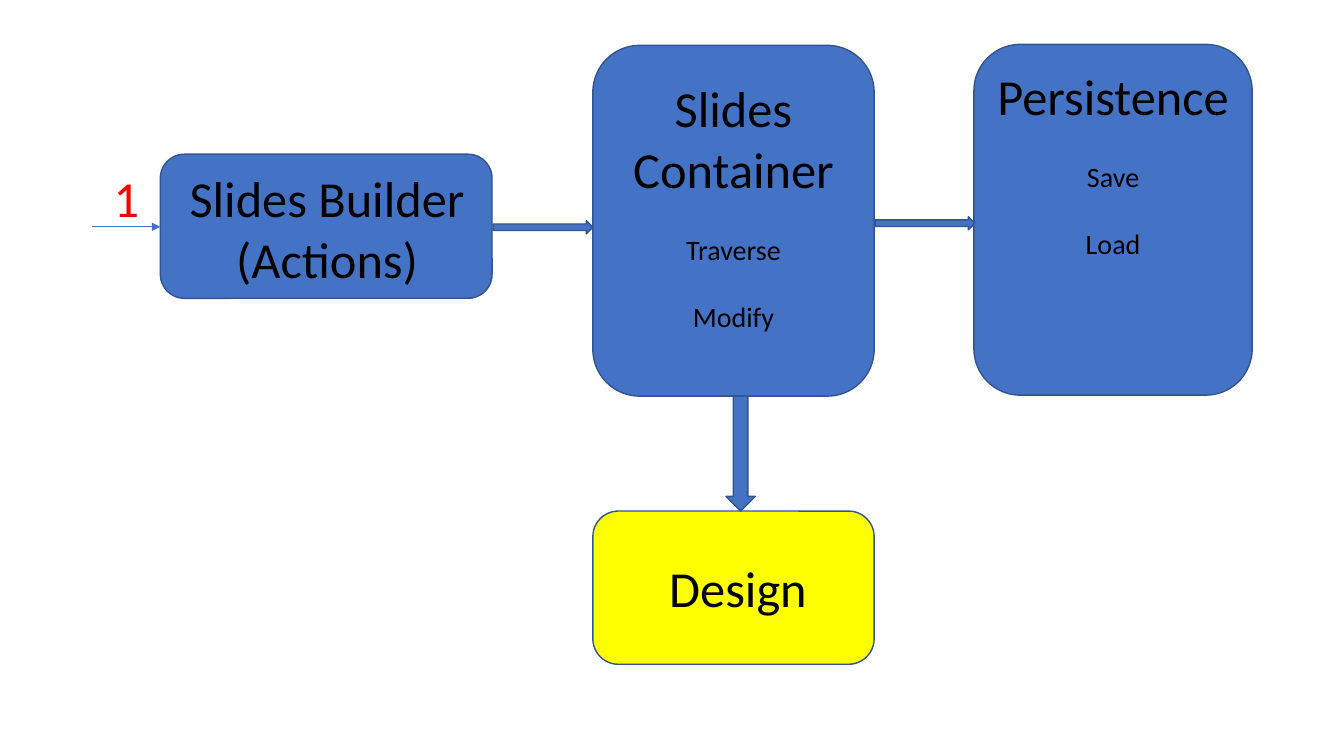
import pptx
import pptx.util
import pptx.dml.color
import pptx.enum.shapes
import pptx.enum.text
import pptx.oxml.ns
import lxml.etree
from dataclasses import dataclass

Inches = pptx.util.Inches
Pt = pptx.util.Pt
SHAPE = pptx.enum.shapes.MSO_SHAPE
ALIGN = pptx.enum.text.PP_ALIGN


@dataclass(frozen=True)
class Theme:
    """Colours, font and type sizes of the diagram."""
    blue: str = "4472C4"
    outline: str = "325491"
    yellow: str = "FFFF00"
    black: str = "000000"
    red: str = "FF0000"
    font: str = "Calibri"
    title: int = 36
    item: int = 20
    item_gap: int = 24


def rgb(value):
    """Turn a hex string into a colour."""
    return pptx.dml.color.RGBColor.from_string(value)


def apply(target, formats):
    """Set each attribute named in a dict."""
    for name, value in formats.items():
        setattr(target, name, value)


class Diagram:
    """Draws diagram elements on one slide in one theme."""

    def __init__(self, slide, theme):
        """Keep the slide and the theme."""
        self.shapes = slide.shapes
        self.theme = theme

    def shape(self, kind, box, fill=None):
        """Add a filled and outlined preset shape."""
        sp = self.shapes.add_shape(kind, *map(Inches, box))
        sp.shadow.inherit = False
        sp.fill.solid()
        sp.fill.fore_color.rgb = rgb(fill or self.theme.blue)
        sp.line.color.rgb = rgb(self.theme.outline)
        sp.line.width = Pt(1)

    def text(self, box, titles, items=(), color=None, align=ALIGN.CENTER):
        """Add title lines followed by spaced smaller items."""
        t = self.theme
        tf = self.shapes.add_textbox(*map(Inches, box)).text_frame
        tf.word_wrap = True
        lines = [(s, t.title, 0) for s in titles]
        lines += [(s, t.item, t.item_gap) for s in items]
        for i, (words, size, gap) in enumerate(lines):
            p = tf.add_paragraph() if i else tf.paragraphs[0]
            apply(p, {"alignment": align, "space_before": Pt(gap)})
            r = p.add_run()
            r.text = words
            apply(r.font, {"name": t.font, "size": Pt(size)})
            r.font.color.rgb = rgb(color or t.black)

    def arrow_line(self, start, end):
        """Add a thin straight line with an arrowhead at its end."""
        line = self.shapes.add_connector(
            pptx.enum.shapes.MSO_CONNECTOR.STRAIGHT, *map(Inches, start + end))
        line.line.color.rgb = rgb(self.theme.blue)
        line.line.width = Pt(0.5)
        qn = pptx.oxml.ns.qn
        ln = line.line._get_or_add_ln()
        lxml.etree.SubElement(ln, qn("a:tailEnd"), type="triangle")
        lxml.etree.SubElement(line._element.spPr, qn("a:effectLst"))


def main():
    """Build and save the slide."""
    prs = pptx.Presentation()
    apply(prs, {"slide_width": Inches(13.33), "slide_height": Inches(7.5)})
    theme = Theme()
    d = Diagram(prs.slides.add_slide(prs.slide_layouts[6]), theme)

    blocks = [
        ((1.59, 1.53, 3.29, 1.43), theme.blue,
         (1.73, 1.61, 3.03, 1.31), ["Slides Builder", "(Actions)"], []),
        ((5.88, 0.45, 2.79, 3.48), theme.blue,
         (6.15, 0.72, 2.25, 2.66), ["Slides Container"], ["Traverse", "Modify"]),
        ((9.66, 0.44, 2.76, 3.48), theme.blue,
         (9.74, 0.6, 2.6, 2.05), ["Persistence"], ["Save", "Load"]),
        ((5.88, 5.07, 2.79, 1.52), theme.yellow,
         (6.19, 5.48, 2.26, 0.71), ["Design"], []),
    ]
    for box, fill, text_box, titles, items in blocks:
        d.shape(SHAPE.ROUNDED_RECTANGLE, box, fill)
        d.text(text_box, titles, items)

    d.arrow_line((0.91, 2.25), (1.59, 2.25))
    d.text((1.03, 1.61, 0.3, 0.71), ["1"], color=theme.red, align=ALIGN.LEFT)

    arrows = [
        (SHAPE.RIGHT_ARROW, (4.89, 2.19, 0.99, 0.13)),
        (SHAPE.RIGHT_ARROW, (8.68, 2.15, 0.99, 0.13)),
        (SHAPE.DOWN_ARROW, (7.2, 3.93, 0.29, 1.14)),
    ]
    for kind, box in arrows:
        d.shape(kind, box)

    prs.save("out.pptx")


main()
